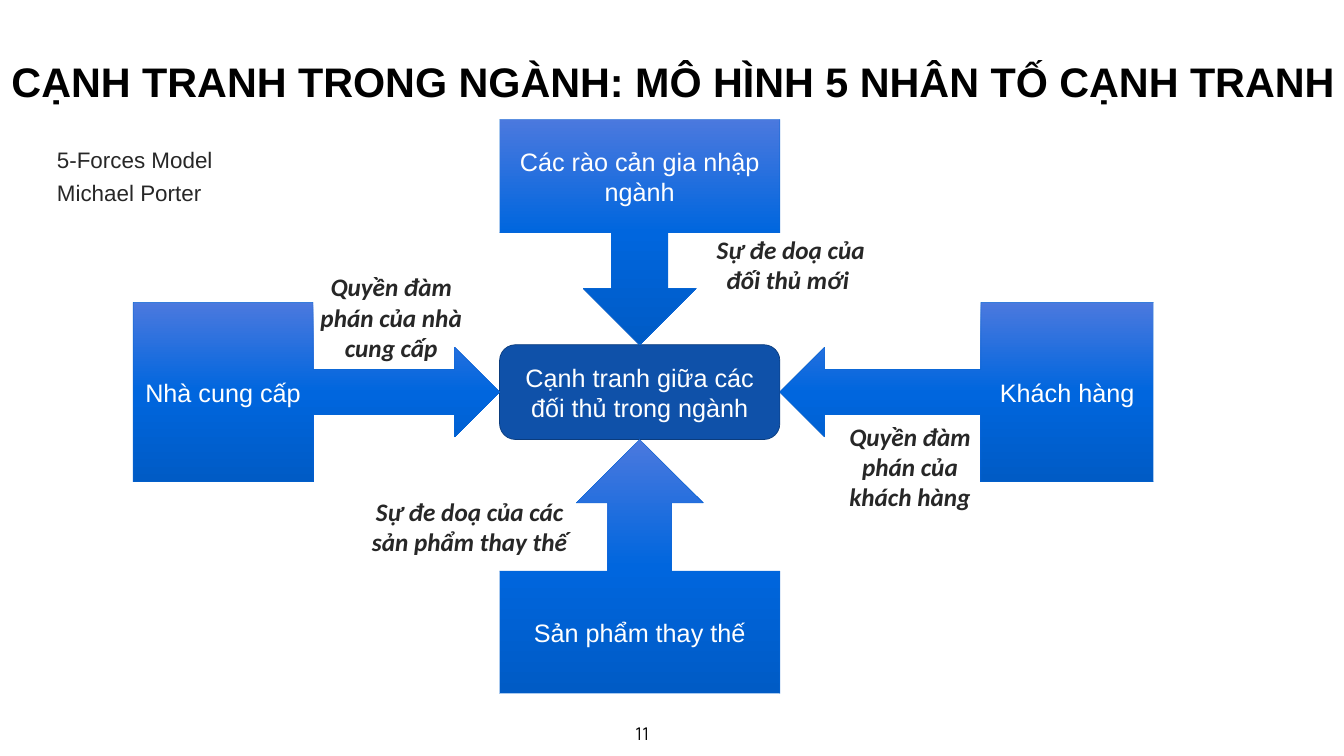
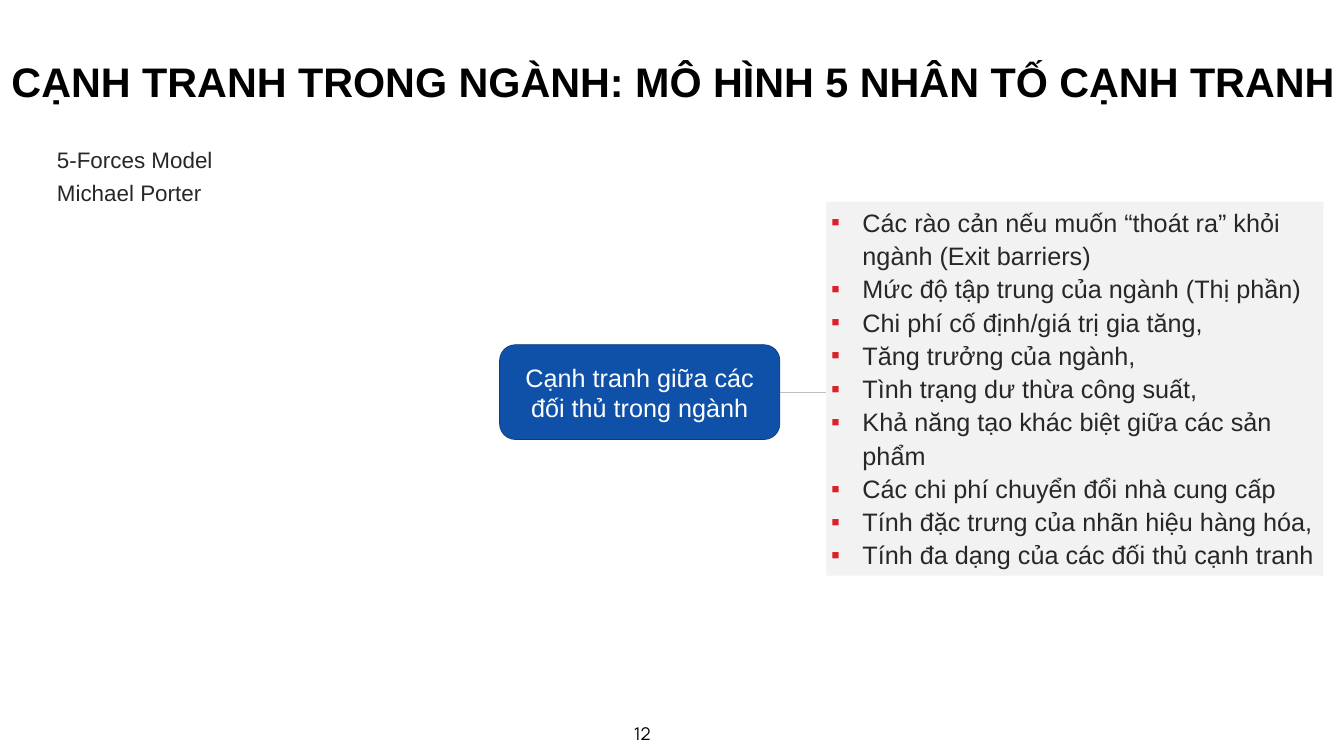
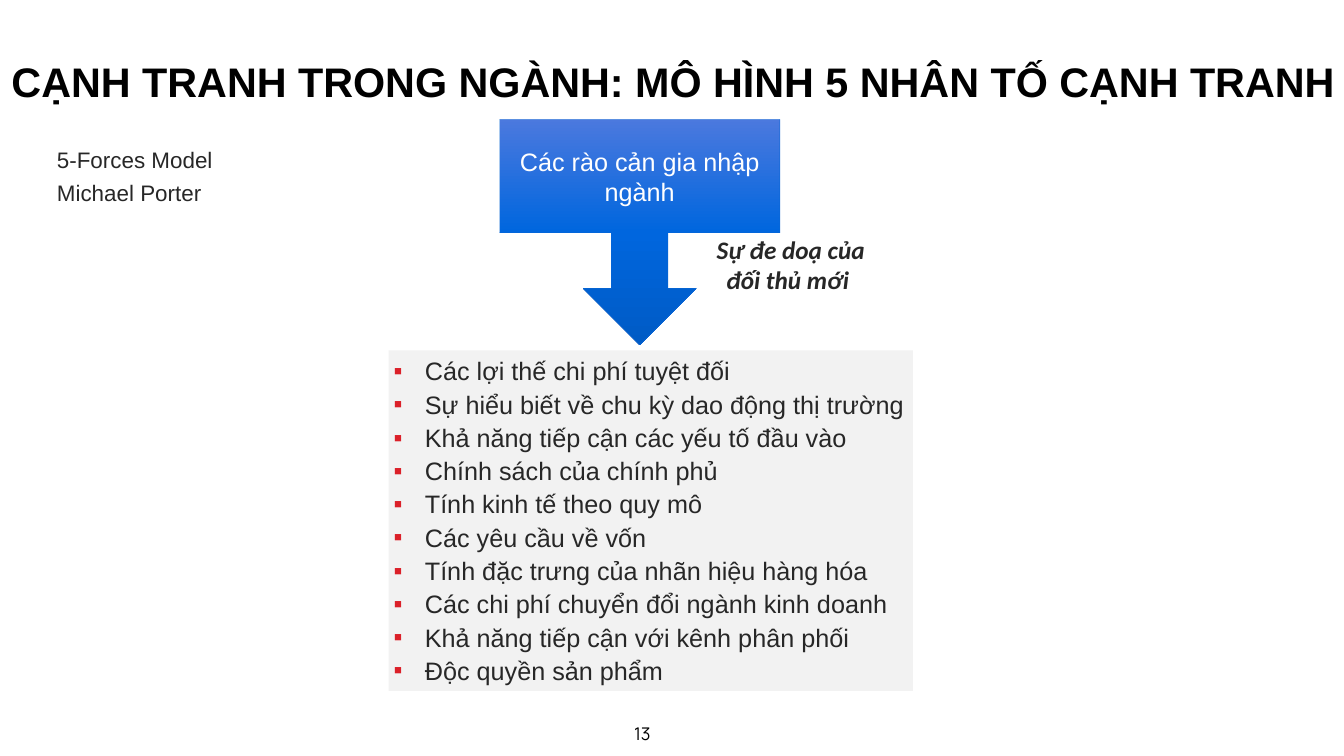
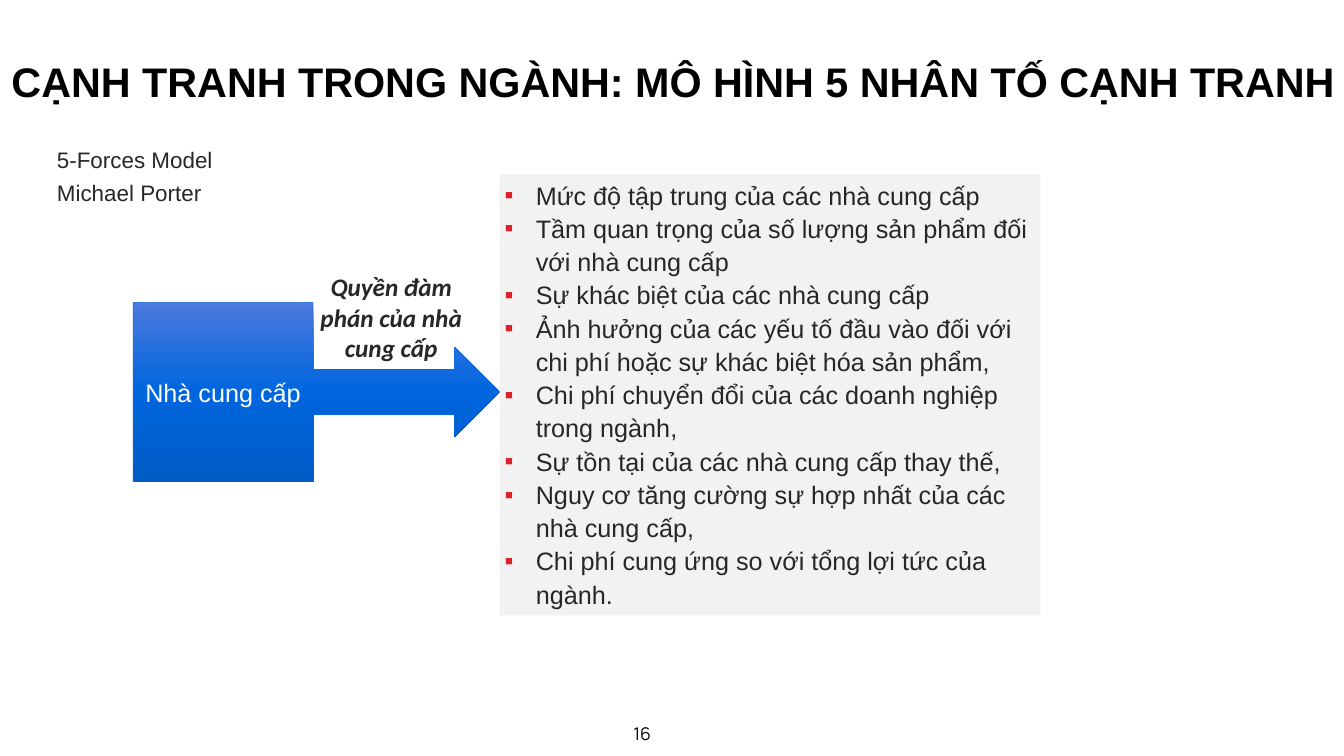
from copy import deepcopy
from dataclasses import dataclass

from lxml import etree
from pptx import Presentation
from pptx.dml.color import RGBColor
from pptx.enum.shapes import MSO_CONNECTOR, MSO_SHAPE
from pptx.enum.text import MSO_ANCHOR, PP_ALIGN
from pptx.oxml.ns import qn
from pptx.util import Inches, Pt

LEFT, CENTER = PP_ALIGN.LEFT, PP_ALIGN.CENTER
TOP, MIDDLE = MSO_ANCHOR.TOP, MSO_ANCHOR.MIDDLE
RECTANGLE, ROUNDED = MSO_SHAPE.RECTANGLE, MSO_SHAPE.ROUNDED_RECTANGLE
DOWN, UP = MSO_SHAPE.DOWN_ARROW_CALLOUT, MSO_SHAPE.UP_ARROW_CALLOUT
RIGHT_WARD, LEFT_WARD = MSO_SHAPE.RIGHT_ARROW_CALLOUT, MSO_SHAPE.LEFT_ARROW_CALLOUT
STRAIGHT = MSO_CONNECTOR.STRAIGHT


@dataclass(frozen=True)
class Style:
    size: float
    color: str
    font: str = "Arial"
    bold: bool = False
    italic: bool = False
    align: PP_ALIGN = LEFT
    spacing: float = 1.0


class Theme:
    title = Style(59, "000000", bold=True, spacing=1.1)
    source = Style(32, "272727", spacing=1.2)
    shape = Style(36, "FFFFFF", align=CENTER)
    threat = Style(36, "272727", "Calibri", bold=True, italic=True, align=CENTER)
    factor = Style(36, "272727", spacing=1.1)
    number = Style(25, "000000", "Manrope", align=CENTER)
    core_fill, core_line = "0F51A9", "0B3C7D"
    force_stops = ((0, "4B79DE"), (0.5, "0066DE"), (1, "005BC5"))
    force_line = "0A67D4"
    panel, bullet, link = "F2F2F2", "DB2029", "BFBFBF"
    bullet_font, bullet_indent = "Arial", 0.62


TITLE = "CẠNH TRANH TRONG NGÀNH: MÔ HÌNH 5 NHÂN TỐ CẠNH TRANH"
SOURCE = ["5-Forces Model", "Michael Porter"]
CORE = "Cạnh tranh giữa các đối thủ trong ngành"

# Places are (left, top, width, height) in inches.
TITLE_PLACE = (0.13, 0.96, 27.3, 1.11)
SOURCE_PLACE = (1.03, 2.75, 7, 1.38)
NUMBER_PLACE = (11.95, 14.29, 1.58, 0.52)
CORE_PLACE = CORE_LEFT, CORE_TOP, CORE_WIDTH, CORE_HEIGHT = (9.91, 6.84, 5.56, 1.88)
CORE_RIGHT, CORE_BOTTOM = CORE_LEFT + CORE_WIDTH, CORE_TOP + CORE_HEIGHT
CORE_MIDDLE = CORE_TOP + CORE_HEIGHT / 2

# Each force: callout shape, length towards the core, share of the box, name,
# threat and the place of the threat.
FORCES = {
    "entrants": (DOWN, 4.47, 0.503, "Các rào cản gia nhập ngành",
                 "Sự đe doạ của đối thủ mới ", (13.78, 4.6, 3.81, 1.31)),
    "customers": (LEFT_WARD, 7.41, 0.462, "Khách hàng",
                  "Quyền đàm phán của khách hàng", (16.39, 8.31, 3.32, 1.92)),
    "substitutes": (UP, 5.04, 0.482, "Sản phẩm thay thế",
                    "Sự đe doạ của các sản phẩm thay thế", (7.16, 9.79, 4.31, 1.31)),
    "suppliers": (RIGHT_WARD, 7.27, 0.491, "Nhà cung cấp",
                  "Quyền đàm phán của nhà cung cấp", (6.1, 5.34, 3.32, 1.92)),
}
SIDE_HEIGHT = 3.56

SLIDES = [
    {"number": 11, "core": True, "forces": list(FORCES)},
    {"number": 12, "core": True, "linked": True, "place": (16.39, 4, 9.86, 7.42), "factors": [
        "Các rào cản nếu muốn “thoát ra” khỏi ngành (Exit barriers)",
        "Mức độ tập trung của ngành (Thị phần)",
        "Chi phí cố định/giá trị gia tăng,",
        "Tăng trưởng của ngành,",
        "Tình trạng dư thừa công suất,",
        "Khả năng tạo khác biệt giữa các sản phẩm",
        "Các chi phí chuyển đổi nhà cung cấp",
        "Tính đặc trưng của nhãn hiệu hàng hóa,",
        "Tính đa dạng của các đối thủ cạnh tranh",
    ]},
    {"number": 13, "forces": ["entrants"], "place": (7.71, 6.95, 10.4, 6.76), "factors": [
        "Các lợi thế chi phí tuyệt đối",
        "Sự hiểu biết về chu kỳ dao động thị trường",
        "Khả năng tiếp cận các yếu tố đầu vào",
        "Chính sách của chính phủ",
        "Tính kinh tế theo quy mô",
        "Các yêu cầu về vốn",
        "Tính đặc trưng của nhãn hiệu hàng hóa",
        "Các chi phí chuyển đổi ngành kinh doanh",
        "Khả năng tiếp cận với kênh phân phối",
        "Độc quyền sản phẩm",
    ]},
    {"number": 16, "forces": ["suppliers"], "place": (9.91, 3.46, 10.73, 8.75), "factors": [
        "Mức độ tập trung của các nhà cung cấp",
        "Tầm quan trọng của số lượng sản phẩm đối với nhà cung cấp",
        "Sự khác biệt của các nhà cung cấp",
        "Ảnh hưởng của các yếu tố đầu vào đối với chi phí hoặc sự khác biệt hóa sản phẩm,",
        "Chi phí chuyển đổi của các doanh nghiệp trong ngành,",
        "Sự tồn tại của các nhà cung cấp thay thế,",
        "Nguy cơ tăng cường sự hợp nhất của các nhà cung cấp,",
        "Chi phí cung ứng so với tổng lợi tức của ngành.",
    ]},
]


def rgb(color):
    return RGBColor.from_string(color)


def inches(values):
    return [Inches(value) for value in values]


def write(box, lines, style, anchor=TOP):
    frame = box.text_frame
    frame.text = "\n".join(lines)
    frame.word_wrap = True
    frame.vertical_anchor = anchor
    for para in frame.paragraphs:
        para.alignment = style.align
        para.line_spacing = style.spacing
        for span in para.runs:
            font = span.font
            font.name, font.size = style.font, Pt(style.size)
            font.bold, font.italic = style.bold, style.italic
            font.color.rgb = rgb(style.color)


def add_text(page, place, lines, style):
    write(page.shapes.add_textbox(*inches(place)), lines, style)


def add_block(page, kind, place, fill=None, line=None, weight=1):
    block = page.shapes.add_shape(kind, *inches(place))
    block.shadow.inherit = False
    if fill:
        block.fill.solid()
        block.fill.fore_color.rgb = rgb(fill)
    if line:
        block.line.color.rgb = rgb(line)
        block.line.width = Pt(weight)
    else:
        block.line.fill.background()
    return block


def add_core(page):
    core = add_block(page, ROUNDED, CORE_PLACE, Theme.core_fill, Theme.core_line)
    write(core, [CORE], Theme.shape, MIDDLE)


def fill_gradient(shape, stops):
    """Fill from top to bottom, with any number of stops."""
    shape.fill.gradient()
    shape.fill.gradient_angle = 270
    stop_list = shape.fill.gradient_stops
    elements = shape._element.spPr.find(".//" + qn("a:gsLst"))
    for _ in range(len(stops) - len(stop_list)):
        elements.append(deepcopy(elements[0]))
    for stop, (position, color) in zip(shape.fill.gradient_stops, stops):
        stop.position = position
        stop.color.rgb = rgb(color)


def force_place(kind, length):
    """Put the callout so that its tip touches the core."""
    side_top = CORE_MIDDLE - SIDE_HEIGHT / 2
    return {
        DOWN: (CORE_LEFT, CORE_TOP - length, CORE_WIDTH, length),
        UP: (CORE_LEFT, CORE_BOTTOM, CORE_WIDTH, length),
        RIGHT_WARD: (CORE_LEFT - length, side_top, length, SIDE_HEIGHT),
        LEFT_WARD: (CORE_RIGHT, side_top, length, SIDE_HEIGHT),
    }[kind]


def add_force(page, force):
    kind, length, share, name, threat, threat_place = FORCES[force]
    callout = add_block(page, kind, force_place(kind, length), line=Theme.force_line, weight=0.5)
    for index, value in enumerate((0.25, 0.25, 0.25, share)):
        callout.adjustments[index] = value
    fill_gradient(callout, Theme.force_stops)
    write(callout, [name], Theme.shape, MIDDLE)
    add_text(page, threat_place, [threat], Theme.threat)


def add_bullet(para):
    properties = para._p.get_or_add_pPr()
    indent = Inches(Theme.bullet_indent)
    properties.set("marL", str(indent))
    properties.set("indent", str(-indent))
    color = etree.SubElement(properties, qn("a:buClr"))
    etree.SubElement(color, qn("a:srgbClr"), val=Theme.bullet)
    etree.SubElement(properties, qn("a:buFont"), typeface=Theme.bullet_font)
    etree.SubElement(properties, qn("a:buChar"), char="▪")


def add_factors(page, place, factors):
    panel = add_block(page, RECTANGLE, place, Theme.panel)
    write(panel, factors, Theme.factor)
    for para in panel.text_frame.paragraphs:
        add_bullet(para)


def add_link(page, end):
    """Join the core to the panel that starts at end."""
    ends = inches((CORE_RIGHT, CORE_MIDDLE, end, CORE_MIDDLE))
    link = page.shapes.add_connector(STRAIGHT, *ends)
    link.line.color.rgb = rgb(Theme.link)
    link.line.width = Pt(1)
    etree.SubElement(link._element.spPr, qn("a:effectLst"))


def add_page(deck, content):
    page = deck.slides.add_slide(deck.slide_layouts[6])
    add_text(page, NUMBER_PLACE, [str(content["number"])], Theme.number)
    add_text(page, TITLE_PLACE, [TITLE], Theme.title)
    if content.get("core"):
        add_core(page)
    for force in content.get("forces", []):
        add_force(page, force)
    add_text(page, SOURCE_PLACE, SOURCE, Theme.source)
    if "factors" in content:
        add_factors(page, content["place"], content["factors"])
    if content.get("linked"):
        add_link(page, content["place"][0])


def main():
    deck = Presentation()
    deck.slide_width, deck.slide_height = inches((26.66, 15))
    for content in SLIDES:
        add_page(deck, content)
    deck.save("out.pptx")


if __name__ == "__main__":
    main()
